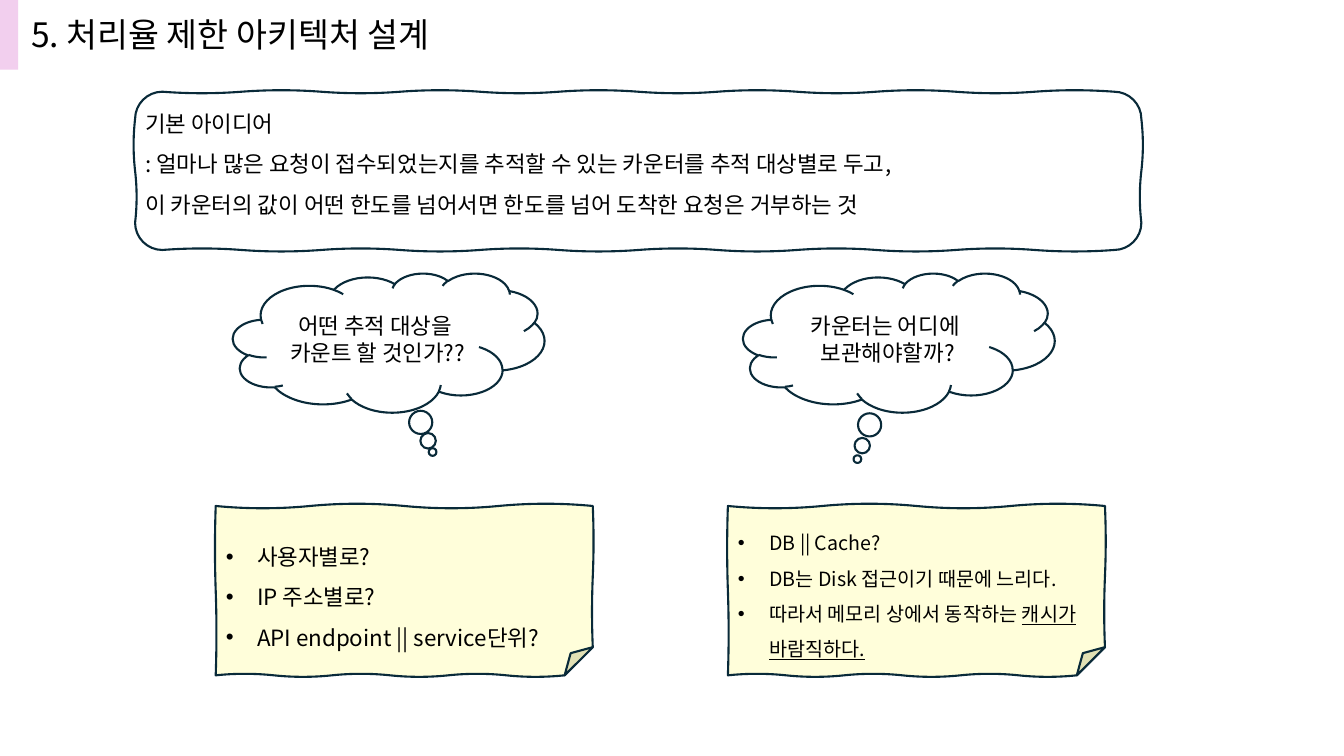
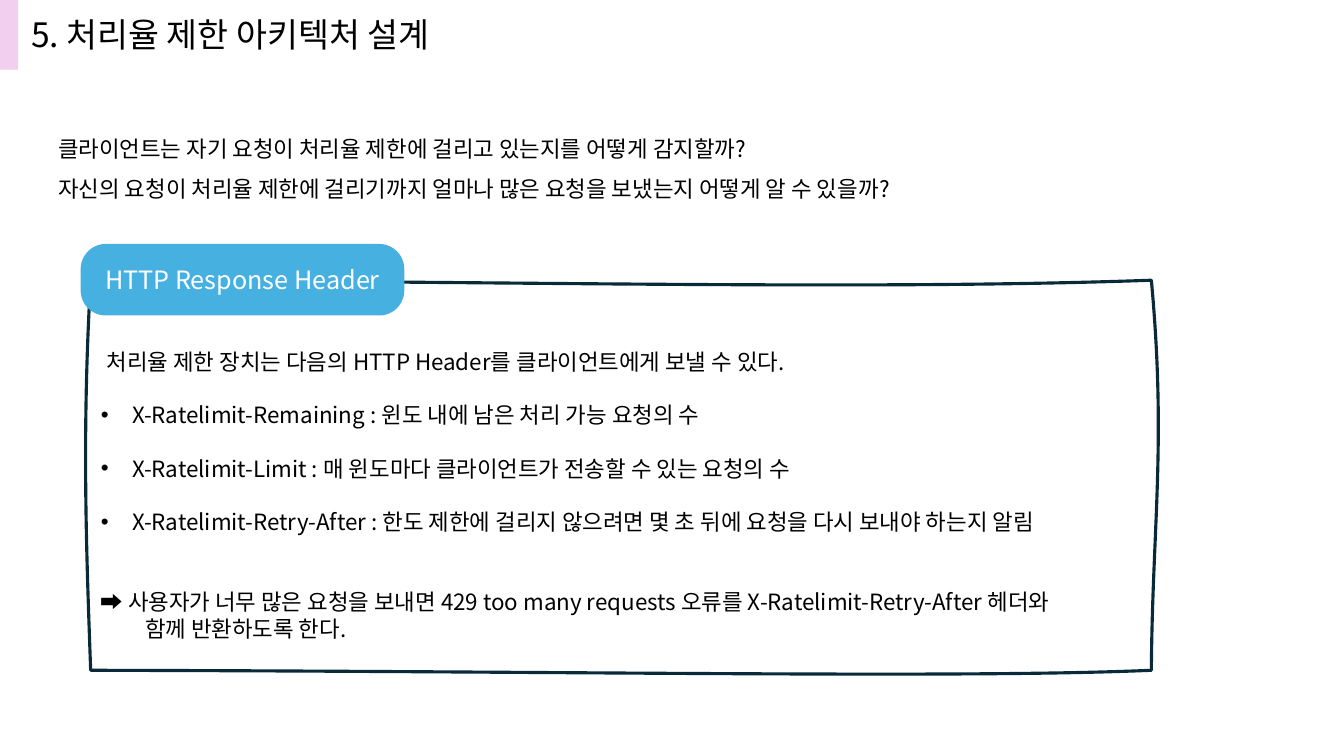
"""Build two slides on the architecture of a rate limiter."""
from dataclasses import dataclass

from lxml import etree
from pptx import Presentation
from pptx.dml.color import RGBColor
from pptx.enum.shapes import MSO_SHAPE
from pptx.enum.text import MSO_ANCHOR, PP_ALIGN
from pptx.oxml.ns import qn
from pptx.util import Inches, Pt

RECTANGLE = MSO_SHAPE.RECTANGLE
ROUNDED = MSO_SHAPE.ROUNDED_RECTANGLE
CLOUD = MSO_SHAPE.CLOUD_CALLOUT
TOP, MIDDLE = MSO_ANCHOR.TOP, MSO_ANCHOR.MIDDLE
LEFT, CENTER = PP_ALIGN.LEFT, PP_ALIGN.CENTER


@dataclass(frozen=True)
class Theme:
    """Colours, fonts and type sizes shared by the slides."""
    font: str = "Noto Sans CJK KR"
    bullet_font: str = "Arial"
    black: str = "000000"
    white: str = "FFFFFF"
    outline: str = "092A39"
    accent: str = "F2CFEE"
    note: str = "FFFEDA"
    fold: str = "E1E0B4"
    label: str = "46B1E1"
    title_size: float = 24
    label_size: float = 18
    body_size: float = 16
    small_size: float = 14
    line_width: float = 1.5
    frame_width: float = 2.25


THEME = Theme()


@dataclass(frozen=True)
class Line:
    """One paragraph with its layout."""
    text: str
    underlined: str = ""
    bullet: bool = False
    margin: float = 0
    hanging: float = 0
    before: float = 0
    spacing: float = 1.0


def bullet(text, underlined="", before=0, spacing=1.0):
    """Return a bulleted line with the common hanging indent."""
    return Line(text, underlined, True, 0.31, 0.31, before, spacing)


def paint(shape, fill=None, line=None, width=THEME.line_width):
    """Set the fill and outline of a shape and drop its shadow."""
    shape.shadow.inherit = False
    if fill:
        shape.fill.solid()
        shape.fill.fore_color.rgb = RGBColor.from_string(fill)
    else:
        shape.fill.background()
    if line:
        shape.line.color.rgb = RGBColor.from_string(line)
        shape.line.width = Pt(width)
    else:
        shape.line.fill.background()


def write(shape, lines, size=THEME.body_size, color=THEME.black,
          align=LEFT, anchor=TOP):
    """Write formatted paragraphs into a shape."""
    frame = shape.text_frame
    frame.word_wrap = True
    frame.vertical_anchor = anchor
    for index, line in enumerate(lines):
        paragraph = frame.paragraphs[0] if index == 0 else frame.add_paragraph()
        paragraph.text = line.text
        paragraph.alignment = align
        paragraph.line_spacing = line.spacing
        paragraph.space_before = Pt(line.before)
        properties = paragraph._p.get_or_add_pPr()
        properties.set("marL", str(Inches(line.margin)))
        properties.set("indent", str(Inches(-line.hanging)))
        if line.bullet:
            etree.SubElement(properties, qn("a:buFont")).set(
                "typeface", THEME.bullet_font)
            etree.SubElement(properties, qn("a:buChar")).set("char", "•")
        if line.underlined:
            run = paragraph.add_run()
            run.text = line.underlined
            run.font.underline = True
        for run in paragraph.runs:
            run.font.size = Pt(size)
            run.font.color.rgb = RGBColor.from_string(color)
            run.font.name = THEME.font


def add_preset(slide, preset, left, top, width, height, adjustments=()):
    """Add a preset shape with its adjustments."""
    shape = slide.shapes.add_shape(
        preset, Inches(left), Inches(top), Inches(width), Inches(height))
    for index, value in enumerate(adjustments):
        shape.adjustments[index] = value
    return shape


def add_text(slide, left, top, width, height, lines, size=THEME.body_size):
    """Add a wrapping text box."""
    box = slide.shapes.add_textbox(
        Inches(left), Inches(top), Inches(width), Inches(height))
    write(box, lines, size)


def add_outline(slide, start, points):
    """Add a closed freeform whose points form cubic curves in threes."""
    builder = slide.shapes.build_freeform(Inches(start[0]), Inches(start[1]))
    builder.add_line_segments([(Inches(x), Inches(y)) for x, y in points])
    shape = builder.convert_to_shape()
    outline = shape._element.find(".//" + qn("a:path"))
    segments = outline.findall(qn("a:lnTo"))
    for first in range(0, len(segments), 3):
        cubic = etree.SubElement(outline, qn("a:cubicBezTo"))
        for segment in segments[first:first + 3]:
            cubic.append(segment[0])
            outline.remove(segment)
    etree.SubElement(outline, qn("a:close"))
    return shape


def wave(start, end, offset=0, bends=1):
    """Return curve points along an edge that bends to either side in turn."""
    (x1, y1), (x2, y2) = start, end
    points = []
    for bend in range(bends):
        sideways = offset if bend % 2 == 0 else -offset
        for third, shift in ((1, sideways), (2, sideways), (3, 0)):
            part = (bend + third / 3) / bends
            across = shift if x1 == x2 else 0
            down = shift if y1 == y2 else 0
            points.append((x1 + (x2 - x1) * part + across,
                           y1 + (y2 - y1) * part + down))
    return points


def rounded_corner(start, corner, end):
    """Return curve points of a quarter circle around a corner."""
    controls = [tuple(a + 0.55 * (b - a) for a, b in zip(point, corner))
                for point in (start, end)]
    return controls + [end]


def add_wavy_box(slide, left, top, right, bottom, radius, lines):
    """Add a hand-drawn rounded box with text."""
    corners = [(left, top), (right, top), (right, bottom), (left, bottom)]
    steps = [(1, 0), (0, 1), (-1, 0), (0, -1)]
    start = (left, top + radius)
    points, current = [], start
    for side, (x, y) in enumerate(corners):
        across, down = steps[side]
        after = (x + radius * across, y + radius * down)
        next_x, next_y = corners[(side + 1) % 4]
        before = (next_x - radius * across, next_y - radius * down)
        points += rounded_corner(current, (x, y), after)
        points += wave(after, before, 0.02, 2 if side % 2 else 12)
        current = before
    box = add_outline(slide, start, points)
    paint(box, line=THEME.outline)
    box.text_frame.margin_left = Inches(0.12)
    box.text_frame.margin_top = Inches(0.07)
    write(box, lines)


def add_note(slide, left, lines, size):
    """Add a sticky note with a folded corner."""
    top, right, bottom, fold = 5.02, left + 3.74, 6.7, 0.28
    start = (left, top)
    fold_top, fold_bottom = (right, bottom - fold), (right - fold, bottom)
    fold_tip = (right - 0.22, bottom - 0.22)
    points = wave(start, (right, top), 0.03, 4)
    points += wave((right, top), fold_top, 0.01, 2)
    points += wave(fold_top, fold_bottom)
    points += wave(fold_bottom, (left, bottom), 0.02, 6)
    points += wave((left, bottom), start, 0.01, 2)
    note = add_outline(slide, start, points)
    paint(note, THEME.note, THEME.outline)
    note.text_frame.margin_left = Inches(0.11)
    write(note, lines, size, anchor=MIDDLE)
    corner = add_outline(
        slide, fold_bottom, wave(fold_bottom, fold_tip)
        + wave(fold_tip, fold_top) + wave(fold_top, fold_bottom))
    paint(corner, THEME.fold, THEME.outline)


def add_cloud(slide, left, tail, lines):
    """Add a thought cloud with centred text."""
    cloud = add_preset(slide, CLOUD, left, 2.71, 3.09, 1.38, tail)
    paint(cloud, THEME.white, THEME.outline)
    write(cloud, lines, align=CENTER, anchor=MIDDLE)


def add_title(slide):
    """Add the accent band and the shared title."""
    paint(add_preset(slide, RECTANGLE, 0, 0, 0.18, 0.69), THEME.accent)
    add_text(slide, 0.21, 0.09, 4.2, 0.5,
             [Line("5. 처리율 제한 아키텍처 설계")], THEME.title_size)


def add_header_frame(slide, lines):
    """Add the bowed frame that lists the response headers."""
    frame = add_outline(slide, (0.9, 2.78), [
        (5.07, 2.79), (8.65, 2.88), (11.42, 2.78),
        (11.57, 4.4), (11.43, 5.22), (11.42, 6.65),
        (9.57, 6.73), (5.81, 6.66), (0.9, 6.65),
        (0.86, 5.52), (0.81, 4.32), (0.9, 2.78)])
    paint(frame, line=THEME.outline, width=THEME.frame_width)
    frame.text_frame.margin_left = Inches(0.19)
    frame.text_frame.margin_top = Inches(0.67)
    write(frame, lines)


def build_idea_slide(slide):
    """Build the slide with the basic idea and two questions."""
    add_title(slide)
    add_cloud(slide, 2.31, (0.141, 0.786),
              [Line("어떤 추적 대상을 \v카운트 할 것인가??")])
    add_cloud(slide, 7.37, (-0.133, 0.837),
              [Line("카운터는 어디에 "), Line("보관해야할까?")])
    add_wavy_box(slide, 1.34, 0.91, 11.32, 2.48, 0.27, [
        Line("기본 아이디어", spacing=1.5),
        Line(": 얼마나 많은 요청이 접수되었는지를 추적할 수 있는 카운터를 추적 대상별로 두고,\v"
             "이 카운터의 값이 어떤 한도를 넘어서면 한도를 넘어 도착한 요청은 거부하는 것",
             spacing=1.5)])
    add_note(slide, 2.14, [
        bullet("사용자별로?", spacing=1.5),
        bullet("IP 주소별로?", spacing=1.5),
        bullet("API endpoint || service단위?", spacing=1.5)], THEME.body_size)
    add_note(slide, 7.22, [
        bullet("DB || Cache?", spacing=1.5),
        bullet("DB는 Disk 접근이기 때문에 느리다.", spacing=1.5),
        bullet("따라서 메모리 상에서 동작하는 ", "캐시가 바람직하다.", spacing=1.5)],
        THEME.small_size)


def build_header_slide(slide):
    """Build the slide with the response headers."""
    add_header_frame(slide, [
        Line("처리율 제한 장치는 다음의 HTTP Header를 클라이언트에게 보낼 수 있다.", margin=0.06),
        bullet("X-Ratelimit-Remaining : 윈도 내에 남은 처리 가능 요청의 수", before=19),
        bullet("X-Ratelimit-Limit : 매 윈도마다 클라이언트가 전송할 수 있는 요청의 수", before=19),
        bullet("X-Ratelimit-Retry-After : 한도 제한에 걸리지 않으려면 "
               "몇 초 뒤에 요청을 다시 보내야 하는지 알림", before=19),
        Line("➡️ 사용자가 너무 많은 요청을 보내면 429 too many requests 오류를 "
             "X-Ratelimit-Retry-After 헤더와\v함께 반환하도록 한다.",
             margin=0.44, hanging=0.44, before=38)])
    add_title(slide)
    add_text(slide, 0.48, 1.16, 12.36, 2.07, [
        Line("클라이언트는 자기 요청이 처리율 제한에 걸리고 있는지를 어떻게 감지할까?", spacing=1.5),
        Line("자신의 요청이 처리율 제한에 걸리기까지 얼마나 많은 요청을 보냈는지 "
             "어떻게 알 수 있을까?", spacing=1.5)])
    label = add_preset(slide, ROUNDED, 0.8, 2.42, 3.21, 0.71, (0.351,))
    paint(label, THEME.label)
    write(label, [Line("HTTP Response Header")], THEME.label_size,
          THEME.white, CENTER, MIDDLE)


def main():
    """Create the presentation and save it."""
    presentation = Presentation()
    presentation.slide_width = Inches(13.33)
    presentation.slide_height = Inches(7.5)
    for build in (build_idea_slide, build_header_slide):
        build(presentation.slides.add_slide(presentation.slide_layouts[6]))
    presentation.save("out.pptx")


if __name__ == "__main__":
    main()
